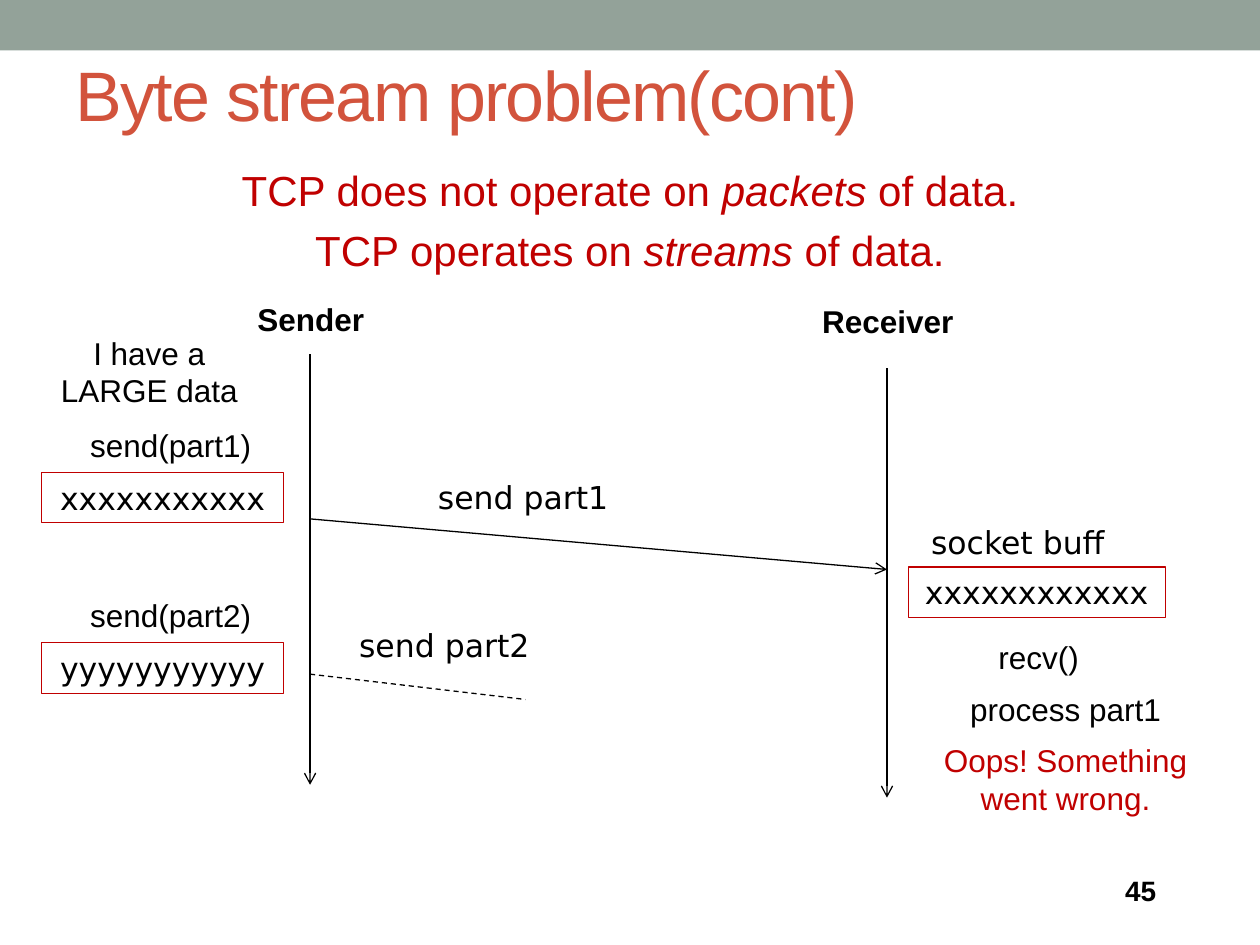
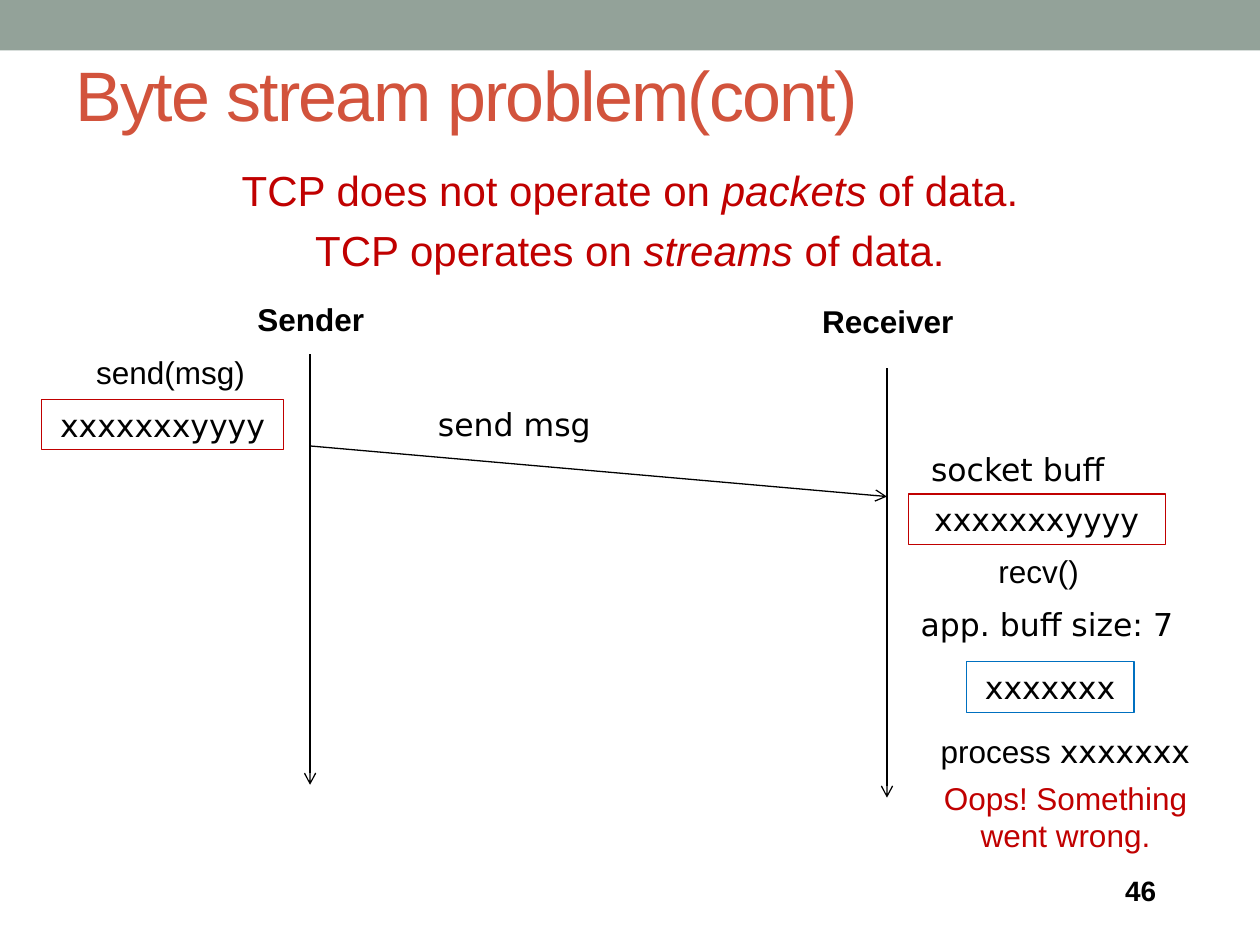
from lxml import etree
from pptx import Presentation
from pptx.dml.color import RGBColor
from pptx.enum.dml import MSO_LINE_DASH_STYLE as Dash
from pptx.enum.shapes import MSO_CONNECTOR as Conn, MSO_SHAPE as Shape
from pptx.enum.text import MSO_ANCHOR as Anchor, MSO_AUTO_SIZE as AutoSize, PP_ALIGN as Align
from pptx.oxml.ns import qn
from pptx.util import Cm, Pt

COLORS = {"band": "93A299", "title": "D2533C", "red": "C00000", "blue": "0070C0", "black": "000000"}
SANS = "Arial"
WIDE = "DejaVu Sans"
LINE_H = 1.02
SENDER_X = 6.25
RECEIVER_X = 17.88


def rgb(name):
    return RGBColor.from_string(COLORS[name])


def place(sp, x, y, w, h):
    sp.left, sp.top, sp.width, sp.height = Cm(x), Cm(y), Cm(w), Cm(h)


def add_run(p, text, font=SANS, size=18, color="black", bold=False, italic=False):
    r = p.add_run()
    r.text = text
    f = r.font
    f.name, f.size, f.bold, f.italic = font, Pt(size), bold, italic
    f.color.rgb = rgb(color)
    return r


def add_label(slide, text, x, y, w, h=LINE_H, align=Align.CENTER, **style):
    sp = slide.shapes.add_textbox(Cm(x), Cm(y), Cm(w), Cm(h))
    tf = sp.text_frame
    tf.word_wrap = True
    p = tf.paragraphs[0]
    p.alignment = align
    add_run(p, text, **style)
    return sp


def add_buffer(slide, text, x, y, w, border="red"):
    sp = slide.shapes.add_shape(Shape.RECTANGLE, Cm(x), Cm(y), Cm(w), Cm(LINE_H))
    sp.shadow.inherit = False
    sp.fill.background()
    sp.line.color.rgb = rgb(border)
    sp.line.width = Pt(0.75)
    tf = sp.text_frame
    tf.word_wrap = True
    p = tf.paragraphs[0]
    p.alignment = Align.CENTER
    add_run(p, text, font=WIDE)


def add_line(slide, x1, y1, x2, y2, arrow=True):
    sp = slide.shapes.add_connector(Conn.STRAIGHT, Cm(x1), Cm(y1), Cm(x2), Cm(y2))
    sp.line.color.rgb = rgb("black")
    sp.line.width = Pt(0.75)
    if arrow:
        etree.SubElement(sp.line._get_or_add_ln(), qn("a:tailEnd"), type="arrow")
    else:
        sp.line.dash_style = Dash.DASH
    etree.SubElement(sp._element.spPr, qn("a:effectLst"))


def add_band(slide, layout, width):
    sp = slide.shapes.add_shape(Shape.RECTANGLE, 0, 0, width, Cm(LINE_H))
    sp.shadow.inherit = False
    sp.fill.solid()
    sp.fill.fore_color.rgb = rgb("band")
    sp.line.fill.background()
    layout.shapes.element.insert(2, sp.element)


def add_title(slide, text):
    sp = slide.shapes.title
    place(sp, 1.27, 0.84, 22.86, 2.11)
    tf = sp.text_frame
    tf.auto_size = AutoSize.NONE
    tf.vertical_anchor = Anchor.MIDDLE
    p = tf.paragraphs[0]
    p.alignment = Align.LEFT
    r = add_run(p, text, size=40, color="title")
    r.font._element.set("spc", "-100")


def add_statements(slide, statements):
    sp = slide.placeholders[1]
    place(sp, 1.27, 3.18, 22.86, 2.54)
    tf = sp.text_frame
    tf.auto_size = AutoSize.NONE
    for i, (start, stressed, end) in enumerate(statements):
        p = tf.add_paragraph() if i else tf.paragraphs[0]
        pPr = p._p.get_or_add_pPr()
        pPr.set("marL", "0")
        pPr.set("indent", "0")
        etree.SubElement(pPr, qn("a:buNone"))
        p.alignment = Align.CENTER
        p.space_before = Pt(6 if i else 0)
        for text, italic in ((start, False), (stressed, True), (end, False)):
            add_run(p, text, size=24, color="red", italic=italic)


def add_lifelines(slide):
    add_label(slide, "Sender", 4.78, 5.92, 2.97, bold=True)
    add_label(slide, "Receiver", 16.21, 5.97, 3.38, bold=True)
    add_line(slide, SENDER_X, 7.14, SENDER_X, 15.82)
    add_line(slide, RECEIVER_X, 7.42, RECEIVER_X, 16.08)


def add_send_call(slide, y, call, data):
    add_label(slide, call, 1.27, y, 4.34)
    add_buffer(slide, data, 0.84, y + 1.06, 4.88)


def add_delivery(slide, y, call, sent, message, received):
    add_send_call(slide, y, call, sent)
    add_line(slide, SENDER_X, y + 2, RECEIVER_X, y + 3.02)
    add_label(slide, message, 8.58, y + 1.06, 6.99, align=Align.LEFT, font=WIDE)
    add_buffer(slide, received, 18.31, y + 2.97, 5.18)
    add_label(slide, "socket buff", 18.52, y + 1.95, 4.65, align=Align.LEFT, font=WIDE)


def add_outcome(slide, recv_y, process_y, oops_y, verb, data, data_font):
    add_label(slide, "recv()", 18.08, recv_y, 5.72)
    sp = add_label(slide, verb, 18.62, process_y, 5.72)
    add_run(sp.text_frame.paragraphs[0], data, font=data_font)
    add_label(slide, "Oops! Something went wrong.", 18.62, oops_y, 5.72, 1.8, color="red")


def add_number(slide, number):
    sp = add_label(slide, str(number), 22.43, 17.5, 2.11, 0.91, align=Align.LEFT, size=16, bold=True)
    sp.text_frame.vertical_anchor = Anchor.MIDDLE


def add_base_slide(prs, layout, number):
    slide = prs.slides.add_slide(layout)
    add_title(slide, "Byte stream problem(cont)")
    add_statements(slide, [
        ("TCP does not operate on ", "packets", " of data."),
        ("TCP operates on ", "streams", " of data."),
    ])
    add_lifelines(slide)
    add_number(slide, number)
    return slide


def add_large_data(slide):
    add_label(slide, "I have a LARGE data", 0.84, 6.6, 4.34, 1.8)
    add_delivery(slide, 8.46, "send(part1)", "xxxxxxxxxxx", "send part1", "xxxxxxxxxxxx")
    add_send_call(slide, 11.9, "send(part2)", "yyyyyyyyyyy")
    add_line(slide, SENDER_X, 13.59, 10.59, 14.1, arrow=False)
    add_label(slide, "send part2", 6.99, 12.5, 6.99, align=Align.LEFT, font=WIDE)
    add_outcome(slide, 12.73, 13.79, 14.81, "process ", "part1", SANS)


def add_small_buffer(slide):
    add_delivery(slide, 6.99, "send(msg)", "xxxxxxxyyyy", "send msg", "xxxxxxxyyyy")
    add_label(slide, "app. buff size: 7", 18.31, 12.07, 6.25, align=Align.LEFT, font=WIDE)
    add_buffer(slide, "xxxxxxx", 19.48, 13.34, 3.38, border="blue")
    add_outcome(slide, 11, 14.63, 15.57, "process ", "xxxxxxx", WIDE)


def main():
    prs = Presentation()
    prs.slide_width, prs.slide_height = Cm(25.4), Cm(19.05)
    layout = prs.slide_layouts[1]
    first = add_base_slide(prs, layout, 45)
    add_band(first, layout, prs.slide_width)
    add_large_data(first)
    add_small_buffer(add_base_slide(prs, layout, 46))
    prs.save("out.pptx")


if __name__ == "__main__":
    main()
